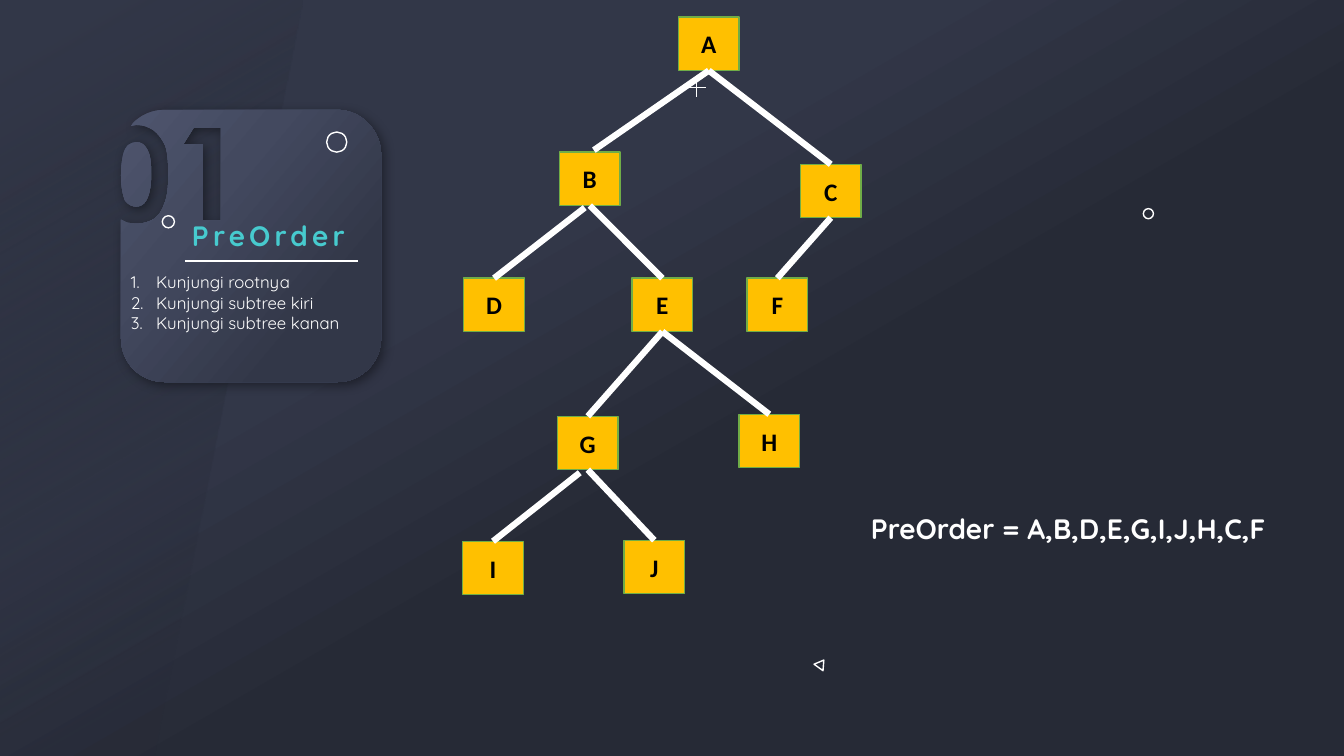
"""Build the PreOrder tree traversal slide."""
from dataclasses import dataclass
from lxml import etree
from pptx import Presentation
from pptx import util as u
from pptx.dml.color import RGBColor
from pptx.enum import shapes, text
from pptx.oxml.ns import qn


@dataclass(frozen=True)
class Theme:
    white: str = "FFFFFF"
    black: str = "000000"
    dark: str = "262A36"
    slate: str = "323748"
    mid: str = "43495F"
    light: str = "4F566F"
    teal: str = "47CACE"
    gold: str = "FFC000"
    green: str = "70AD47"
    sans: str = "Quicksand"
    plain: str = "Calibri"
    title: int = 20
    label: int = 18
    body: int = 12


def sub(node, tag, **attrs):
    item = etree.SubElement(node, qn(tag))
    for key, value in attrs.items():
        item.set(key, str(value))
    return item


def grade(fill, root, stops, angle):
    fill.gradient()
    grad = root.find(".//" + qn("a:gradFill"))
    for child in list(grad):
        grad.remove(child)
    group = sub(grad, "a:gsLst")
    for pos, color, alpha in stops:
        stop = sub(group, "a:gs", pos=pos * 1000)
        tint = sub(stop, "a:srgbClr", val=color)
        if alpha < 100:
            sub(tint, "a:alpha", val=alpha * 1000)
    sub(grad, "a:lin", ang=angle * 60000, scaled=0)


def bend(shape, paths):
    """Swap straight segments for cubic curves where a step has six numbers."""
    steps = [step for path in paths for step in path[1:]]
    lines = list(shape._element.iter(qn("a:lnTo")))
    for step, line in zip(steps, lines):
        if len(step) == 6:
            curve = etree.Element(qn("a:cubicBezTo"))
            for x, y in zip(step[::2], step[1::2]):
                sub(curve, "a:pt", x=u.Inches(x) - shape.left, y=u.Inches(y) - shape.top)
            line.getparent().replace(line, curve)


def write(frame, lines, size, color, font, bold=False, align=None, space=0, number=False):
    for i, line in enumerate(lines):
        para = frame.paragraphs[0] if i == 0 else frame.add_paragraph()
        para.alignment = align
        if number:
            props = para._p.get_or_add_pPr()
            props.set("marL", str(u.Inches(0.25)))
            props.set("indent", str(-u.Inches(0.25)))
            sub(props, "a:buFont", typeface=font)
            sub(props, "a:buAutoNum", type="arabicPeriod")
        run = para.add_run()
        run.text = line
        run.font.size = u.Pt(size)
        run.font.name = font
        run.font.bold = bold
        run.font.color.rgb = RGBColor.from_string(color)
        if space:
            run._r.get_or_add_rPr().set("spc", str(space * 100))


class Board:
    """Hold the theme and the current slide, and draw each kind of element."""

    def __init__(self, deck, theme):
        self.theme = theme
        self.slide = deck.slides.add_slide(deck.slide_layouts[6])
        self.items = self.slide.shapes

    def back(self, stops, angle):
        grade(self.slide.background.fill, self.slide._element, stops, angle)

    def form(self, paths, stops, angle):
        first, *rest = [[tuple(map(u.Inches, step[-2:])) for step in path] for path in paths]
        pen = self.items.build_freeform(*first[0], scale=1.0)
        pen.add_line_segments(first[1:], close=True)
        for path in rest:
            pen.move_to(*path[0])
            pen.add_line_segments(path[1:], close=True)
        shape = pen.convert_to_shape()
        bend(shape, paths)
        shape.shadow.inherit = False
        shape.line.fill.background()
        grade(shape.fill, shape._element, stops, angle)
        return shape

    def shade(self, shape, alpha, blur, dist, angle):
        glow = sub(shape._element.spPr.find(qn("a:effectLst")), "a:outerShdw",
                   blurRad=u.Pt(blur), dist=u.Pt(dist), dir=angle * 60000,
                   algn="tl", rotWithShape=0)
        tint = sub(glow, "a:srgbClr", val=self.theme.black)
        sub(tint, "a:alpha", val=alpha * 1000)

    def shape(self, kind, box, fill=None, line=None, turn=0):
        item = self.items.add_shape(kind, *map(u.Inches, box))
        item.shadow.inherit = False
        item.rotation = turn
        if fill:
            item.fill.solid()
            item.fill.fore_color.rgb = RGBColor.from_string(fill)
        else:
            item.fill.background()
        item.line.color.rgb = RGBColor.from_string(line or self.theme.white)
        item.line.width = u.Pt(1)
        return item

    def node(self, name, left, top):
        look = self.theme
        item = self.shape(shapes.MSO_SHAPE.RECTANGLE, (left, top, 0.6, 0.53),
                          look.gold, look.green)
        item.text_frame.vertical_anchor = text.MSO_ANCHOR.MIDDLE
        write(item.text_frame, [name], look.label, look.black, look.plain,
              bold=True, align=text.PP_ALIGN.CENTER)
        return item

    def line(self, start, end, width):
        item = self.items.add_connector(shapes.MSO_CONNECTOR.STRAIGHT,
                                        *map(u.Inches, (*start, *end)))
        item.line.color.rgb = RGBColor.from_string(self.theme.white)
        item.line.width = u.Pt(width)
        sub(item._element.spPr, "a:effectLst")
        return item

    def edge(self, top, low, start=None, end=None):
        item = self.line(start or (0, 0), end or (0, 0), 4.5)
        if not start:
            item.begin_connect(top, 2)
        if not end:
            item.end_connect(low, 0)

    def note(self, box, lines, size, color, wrap=True, **style):
        frame = self.items.add_textbox(*map(u.Inches, box)).text_frame
        frame.word_wrap = wrap
        frame.auto_size = text.MSO_AUTO_SIZE.SHAPE_TO_FIT_TEXT
        write(frame, lines, size, color, self.theme.sans, **style)


CARD = [
    [(1.35, 1.41), (1.4, 1.41, 1.43, 1.43, 1.46, 1.48), (1.49, 1.53, 1.5, 1.61, 1.5, 1.73),
     (1.5, 1.85, 1.48, 1.94, 1.45, 1.99), (1.43, 2.03, 1.39, 2.05, 1.35, 2.05),
     (1.31, 2.05, 1.27, 2.03, 1.24, 1.99), (1.22, 1.94, 1.2, 1.86, 1.2, 1.74),
     (1.2, 1.65, 1.21, 1.59, 1.22, 1.54), (1.23, 1.49, 1.25, 1.46, 1.27, 1.44),
     (1.3, 1.42, 1.32, 1.41, 1.35, 1.41)],
    [(1.92, 1.27), (1.82, 1.43), (2.01, 1.43), (2.01, 2.19), (2.19, 2.19), (2.19, 1.27)],
    [(1.63, 1.09), (3.35, 1.09), (3.58, 1.09, 3.78, 1.29, 3.78, 1.53), (3.78, 3.36),
     (3.78, 3.6, 3.58, 3.79, 3.35, 3.79), (1.63, 3.79), (1.39, 3.79, 1.2, 3.6, 1.2, 3.36),
     (1.2, 2.18), (1.26, 2.21), (1.29, 2.21, 1.32, 2.22, 1.35, 2.22),
     (1.42, 2.22, 1.48, 2.2, 1.53, 2.17), (1.57, 2.14, 1.61, 2.09, 1.63, 2.02),
     (1.66, 1.95, 1.67, 1.85, 1.67, 1.73), (1.67, 1.61, 1.66, 1.51, 1.64, 1.45),
     (1.61, 1.38, 1.57, 1.33, 1.52, 1.29), (1.47, 1.26, 1.42, 1.24, 1.35, 1.24),
     (1.3, 1.25), (1.32, 1.22), (1.4, 1.14, 1.51, 1.09, 1.63, 1.09)],
]
NODES = {"A": (6.73, 0.17), "B": (5.55, 1.51), "C": (7.94, 1.63), "D": (4.6, 2.76),
         "E": (6.27, 2.76), "F": (7.41, 2.76), "G": (5.53, 4.13), "H": (7.33, 4.11),
         "I": (4.59, 5.37), "J": (6.19, 5.36)}
EDGES = {"AC": {}, "AB": {"end": (5.89, 1.49)}, "CF": {}, "BD": {"start": (5.8, 2.06)},
         "BE": {}, "EG": {}, "GI": {"start": (5.75, 4.69)}, "GJ": {}, "EH": {}}


def main():
    deck = Presentation()
    deck.slide_width, deck.slide_height = u.Inches(13.33), u.Inches(7.5)
    look = Theme()
    board = Board(deck, look)
    ring = shapes.MSO_SHAPE.OVAL
    board.back([(35, look.slate, 100), (57, look.dark, 100)], 60)
    board.form([[(0, 0), (3, 0), (1.53, 7.5), (0, 7.5)]],
               [(6, look.slate, 100), (84, look.dark, 7)], 60)
    board.shape(ring, (11.34, 2.07, 0.1, 0.1))
    board.line((6.91, 0.79), (6.91, 0.96), 0.75)
    board.line((7, 0.87), (6.82, 0.87), 0.75)
    board.shape(shapes.MSO_SHAPE.ISOSCELES_TRIANGLE, (8.09, 6.54, 0.11, 0.09), turn=35.9)
    card = board.form(CARD, [(0, look.light, 100), (34, look.mid, 100),
                             (75, look.slate, 100)], 40)
    board.shade(card, 40, 8, 3, 45)
    board.note((1.78, 2.12, 1.74, 0.44), ["PreOrder"], look.title, look.teal, wrap=False,
               bold=True, align=text.PP_ALIGN.RIGHT, space=3)
    board.note((1.2, 2.65, 2.58, 0.71),
               ["Kunjungi rootnya", "Kunjungi subtree kiri", "Kunjungi subtree kanan"],
               look.body, look.white, number=True)
    board.line((1.84, 2.59), (3.55, 2.59), 1)
    board.shape(ring, (1.61, 2.14, 0.12, 0.12))
    board.shape(ring, (3.24, 1.31, 0.2, 0.2))
    tree = {name: board.node(name, *spot) for name, spot in NODES.items()}
    for (top, low), ends in EDGES.items():
        board.edge(tree[top], tree[low], **ends)
    board.note((8.54, 5.03, 5.75, 0.44), ["PreOrder = A,B,D,E,G,I,J,H,C,F"],
               look.title, look.white, bold=True)
    deck.save("out.pptx")


if __name__ == "__main__":
    main()
